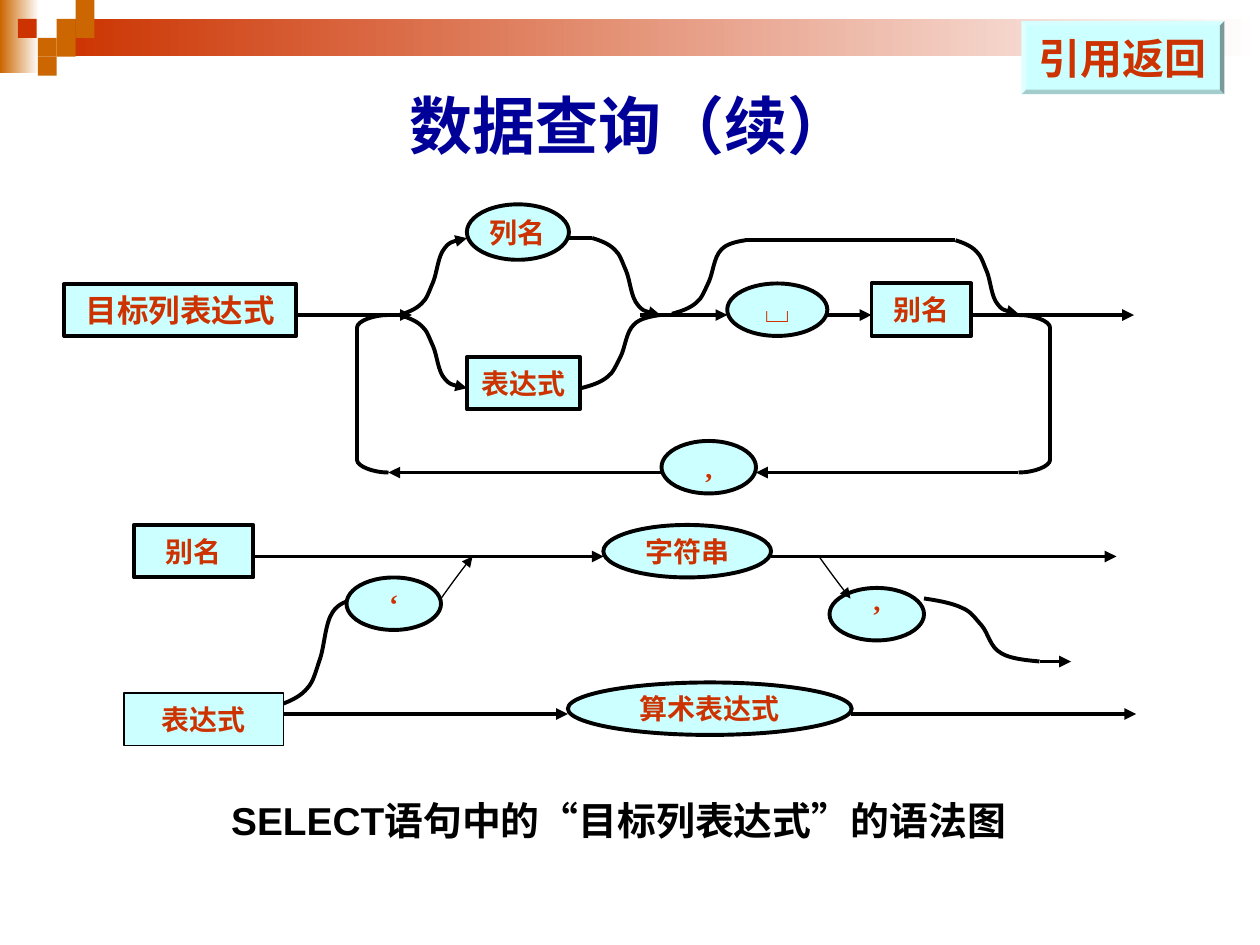
from dataclasses import dataclass

from lxml import etree
from pptx import Presentation
from pptx.dml.color import RGBColor
from pptx.enum.shapes import MSO_CONNECTOR, MSO_SHAPE
from pptx.enum.text import MSO_ANCHOR, PP_ALIGN
from pptx.oxml.ns import qn
from pptx.util import Pt

RECT, OVAL, BEVEL = MSO_SHAPE.RECTANGLE, MSO_SHAPE.OVAL, MSO_SHAPE.BEVEL
STRAIGHT = MSO_CONNECTOR.STRAIGHT
CENTER, MIDDLE, TOP = PP_ALIGN.CENTER, MSO_ANCHOR.MIDDLE, MSO_ANCHOR.TOP
COLORS = {"white": "FFFFFF", "orange": "CC6600", "red": "CC3300",
          "navy": "000099", "black": "000000", "cyan": "CCFFFF"}
SERIF, SANS = "Times New Roman", "Arial"
CELL = 10.8
HEAVY, THIN = 2.25, 0.75

S_BEND = [((0.11, 0.03), (0.24, 0.07), (0.33, 0.15)),
          ((0.41, 0.21), (0.44, 0.31), (0.5, 0.43)),
          ((0.56, 0.56), (0.57, 0.77), (0.67, 0.87)),
          ((0.74, 0.95), (0.87, 0.98), (1, 1))]
BRACKET = [((0.5, 0), (1, 0.04), (1, 0.08)),
           ((1, 0.92),),
           ((1, 0.96), (0.5, 1), (0, 1))]
SLANT = [((0.4, 0.42), (0.8, 0.82), (1, 1))]


@dataclass
class Node:
    text: str
    kind: MSO_SHAPE
    left: float
    top: float
    width: float
    height: float = 30
    size: float = 16
    line: float = HEAVY


@dataclass
class Curve:
    segments: list
    x: float
    y: float
    dx: float
    dy: float
    head: bool = False
    line: float = HEAVY


@dataclass
class Track:
    x1: float
    x2: float
    y: float
    head: bool = True


CURVES = [
    Curve(BRACKET, 582, 180, 18, 90),
    Curve(BRACKET, 222, 180, -18, 90),
    Curve(S_BEND, 228.2, 180, 38.7, -43.9, True),
    Curve(S_BEND, 338.4, 136, 38.9, 43.9, True),
    Curve(S_BEND, 228.2, 180, 38.7, 41.8, True),
    Curve(S_BEND, 332, 221.8, 45.3, -41.8),
    Curve(S_BEND, 384, 179.3, 42, -42),
    Curve(S_BEND, 546, 137.3, 36, 42, True),
    Curve(S_BEND, 162, 402, 42, -60),
    Curve(S_BEND, 528, 342, 66, 36),
]
NODES = [
    Node("目标列表达式", RECT, 36.8, 162.1, 132.5, 29.9, 18),
    Node("列名", OVAL, 266.8, 116.8, 58.3, 31.7),
    Node("表达式", RECT, 266.8, 204, 64.6),
    Node("⌴", OVAL, 415.6, 162, 57.2, size=18),
    Node("别名", RECT, 498, 162, 57),
    Node(",", OVAL, 378, 252, 54),
    Node("别名", RECT, 76.5, 300, 68.3),
    Node("字符串", OVAL, 344.8, 300, 95.8),
    Node("‘", OVAL, 198, 330, 54),
    Node("’", OVAL, 474, 336, 54),
    Node("表达式", RECT, 70.8, 396, 91.4, line=THIN),
    Node("算术表达式", OVAL, 324.5, 390, 162.2),
]
SLANTS = [
    Curve(SLANT, 252, 342, 18, -24, True, THIN),
    Curve(SLANT, 468, 318, 18, 24, True, THIN),
]
TRACKS = [
    Track(169.2, 235.4, 180), Track(366, 390, 180, False),
    Track(384, 415.6, 180), Track(472.8, 498, 180),
    Track(555, 587, 180, False), Track(582, 648, 180),
    Track(325.3, 338.4, 136, False), Track(426, 546, 137.3, False),
    Track(582, 432, 270), Track(378, 222, 270),
    Track(145, 198, 318, False), Track(192, 345, 318), Track(440.8, 638, 318),
    Track(594, 612, 378), Track(162.2, 324.5, 408),
    Track(486.5, 629.3, 408, False), Track(629.3, 649.2, 408),
]
STEPS = [(3, 1, "orange"), (4, 0, "orange"), (4, 1, "orange"), (2, 2, "orange"),
         (0.94, 1, "red"), (3, 2, "orange"), (2, 3, "orange")]


def rgb(name: str) -> RGBColor:
    return RGBColor.from_string(COLORS[name])


def style_line(sp, width: float, head: bool = False) -> None:
    sp.line.color.rgb = rgb("black")
    sp.line.width = Pt(width)
    if head:
        ln = sp.element.spPr.find(qn("a:ln"))
        etree.SubElement(ln, qn("a:tailEnd"), type="triangle")


def write(sp, text: str, size: float, color: str, font: str = SERIF,
          anchor=MIDDLE, wrap: bool = False) -> None:
    tf = sp.text_frame
    tf.word_wrap = wrap
    tf.vertical_anchor = anchor
    p = tf.paragraphs[0]
    p.text = text
    p.alignment = CENTER
    p.font.size = Pt(size)
    p.font.bold = True
    p.font.name = font
    p.font.color.rgb = rgb(color)


def add_block(s, kind, left: float, top: float, width: float, height: float, color: str):
    sp = s.shapes.add_shape(kind, Pt(left), Pt(top), Pt(width), Pt(height))
    sp.shadow.inherit = False
    sp.fill.solid()
    sp.fill.fore_color.rgb = rgb(color)
    sp.line.fill.background()
    return sp


def add_fade(s, left: float, top: float, width: float, height: float, color: str) -> None:
    fill = add_block(s, RECT, left, top, width, height, color).fill
    fill.gradient()
    fill.gradient_angle = 180
    for stop, name, position in zip(fill.gradient_stops, ("white", color), (0, 1)):
        stop.color.rgb = rgb(name)
        stop.position = position


def add_node(s, node: Node) -> None:
    sp = add_block(s, node.kind, node.left, node.top, node.width, node.height, "cyan")
    style_line(sp, node.line)
    write(sp, node.text, node.size, "red")


def bend_segments(sp, segments: list) -> None:
    corners = iter(list(sp.element.iter(qn("a:lnTo"))))
    for segment in segments:
        first, *rest = [next(corners) for _ in segment]
        if rest:
            first.tag = qn("a:cubicBezTo")
        for corner in rest:
            first.append(corner[0])
            corner.getparent().remove(corner)


def add_curve(s, curve: Curve) -> None:
    points = [(Pt(curve.x + fx * curve.dx), Pt(curve.y + fy * curve.dy))
              for segment in curve.segments for fx, fy in segment]
    builder = s.shapes.build_freeform(Pt(curve.x), Pt(curve.y))
    builder.add_line_segments(points, close=False)
    sp = builder.convert_to_shape()
    bend_segments(sp, curve.segments)
    sp.shadow.inherit = False
    sp.fill.background()
    style_line(sp, curve.line, curve.head)


def add_track(s, track: Track) -> None:
    sp = s.shapes.add_connector(STRAIGHT, Pt(track.x1), Pt(track.y), Pt(track.x2), Pt(track.y))
    style_line(sp, HEAVY, track.head)
    etree.SubElement(sp.element.spPr, qn("a:effectLst"))


def main() -> None:
    """Build the syntax diagram slide for the target list expression."""
    prs = Presentation()
    prs.slide_width, prs.slide_height = Pt(720), Pt(540)
    s = prs.slides.add_slide(prs.slide_layouts[6])

    add_fade(s, 0, 0, 22.3, 41.8, "orange")
    add_fade(s, 32.4, CELL, 687.6, 21.3, "red")
    for col, row, color in STEPS:
        add_block(s, RECT, col * CELL, row * CELL, CELL, CELL, color)

    title = s.shapes.add_textbox(Pt(36), Pt(36), Pt(648), Pt(69.8))
    write(title, "数据查询（续）", 36, "navy", wrap=True)
    caption = s.shapes.add_textbox(Pt(29.5), Pt(451.8), Pt(648), Pt(33.8))
    write(caption, "SELECT语句中的“目标列表达式”的语法图", 22.2, "black", SANS, TOP, True)

    for curve in CURVES:
        add_curve(s, curve)
    for node in NODES:
        add_node(s, node)
    for slant in SLANTS:
        add_curve(s, slant)
    for track in TRACKS:
        add_track(s, track)

    button = add_block(s, BEVEL, 583.7, 12, 115.9, 41.8, "cyan")
    button.adjustments[0] = 0.06
    write(button, "引用返回", 24, "red")
    prs.save("out.pptx")


if __name__ == "__main__":
    main()
